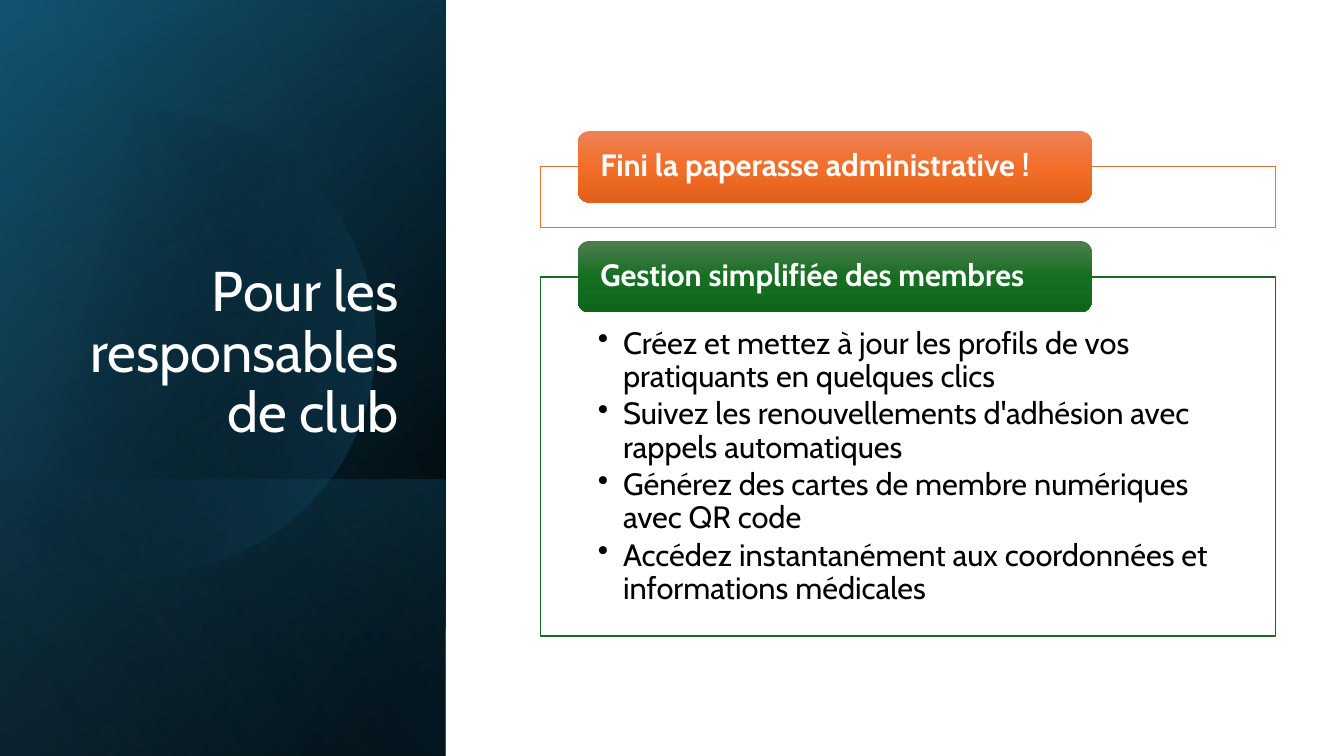
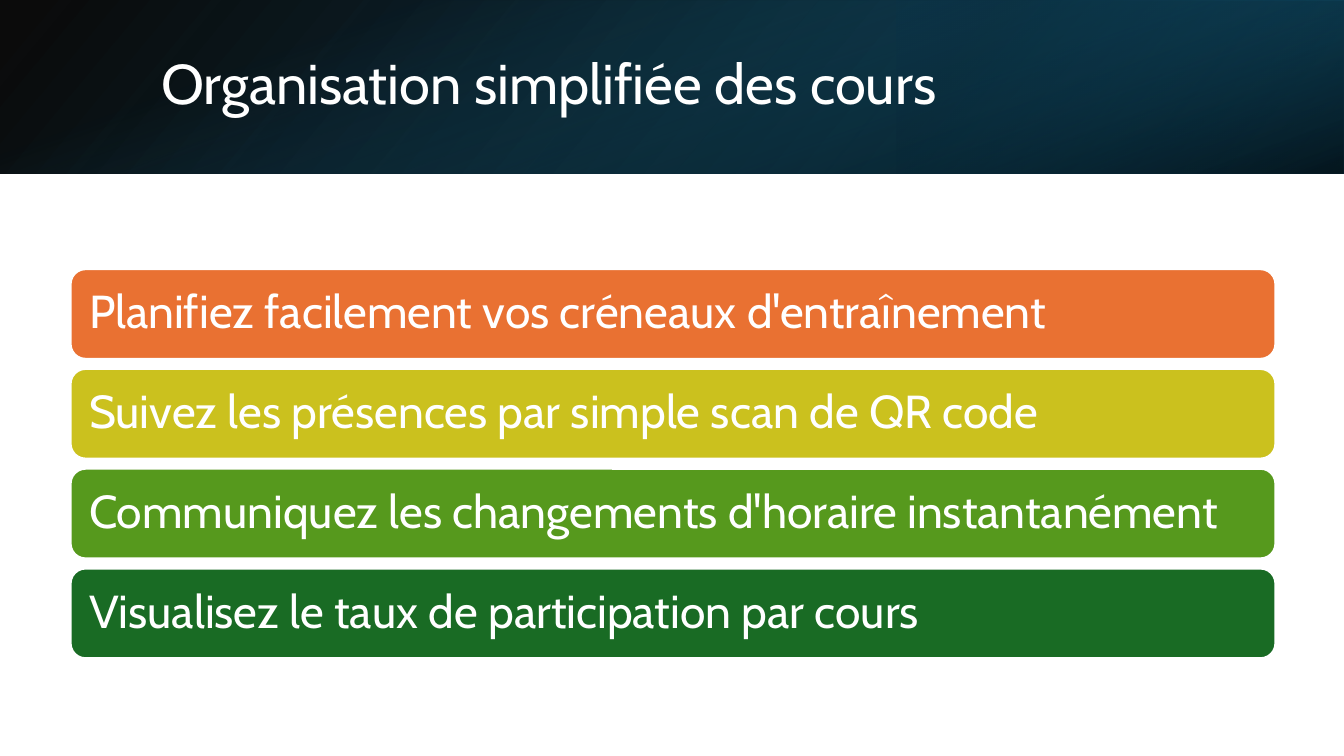
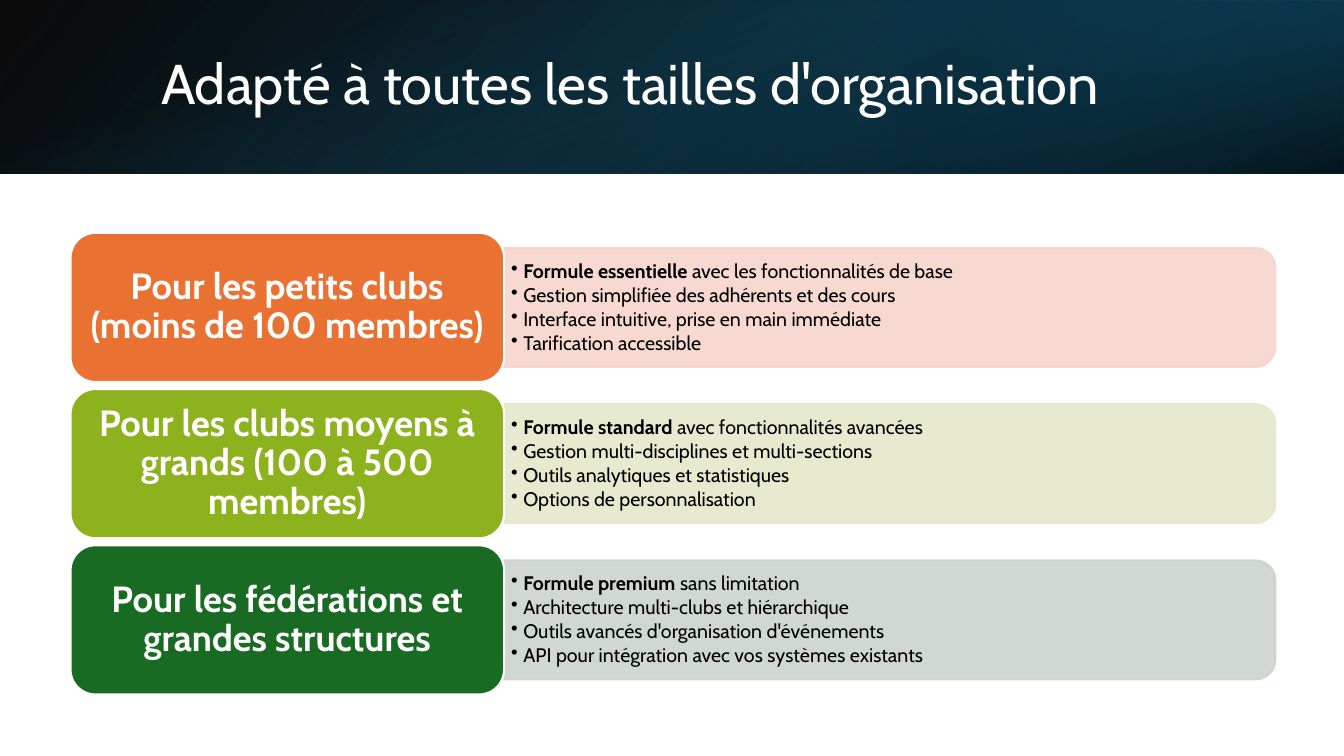
"""Build three slides presenting a club management service."""
import math
from dataclasses import dataclass

from pptx import Presentation
from pptx.dml.color import RGBColor
from pptx.enum import shapes, text
from pptx.oxml import parse_xml
from pptx.oxml.ns import nsdecls, qn
from pptx.util import Inches, Pt

FONT = "Cabin"
WHITE = RGBColor(0xFF, 0xFF, 0xFF)
BLACK = RGBColor(0x00, 0x00, 0x00)
NAVY = RGBColor(0x10, 0x48, 0x62)
TEAL = RGBColor(0x15, 0x60, 0x82)
DEEP = RGBColor(0x0B, 0x30, 0x41)
SKY = RGBColor(0x46, 0xB1, 0xE1)
ORANGE = RGBColor(0xE9, 0x71, 0x32)
YELLOW = RGBColor(0xCB, 0xC1, 0x1E)
LIME = RGBColor(0x8E, 0xB2, 0x1E)
LEAF = RGBColor(0x56, 0x99, 0x1D)
GREEN = RGBColor(0x19, 0x6B, 0x24)
PALE_ORANGE = RGBColor(0xF7, 0xD5, 0xCE)
PALE_LIME = RGBColor(0xE5, 0xE8, 0xCA)
PALE_GREEN = RGBColor(0xCC, 0xD4, 0xCD)
ORANGE_SHADES = (RGBColor(0xED, 0x82, 0x57), RGBColor(0xF2, 0x6E, 0x29), RGBColor(0xE2, 0x5F, 0x1A))
GREEN_SHADES = (RGBColor(0x4D, 0x7E, 0x50), RGBColor(0x15, 0x6F, 0x21), RGBColor(0x0F, 0x66, 0x1B))

RECT = shapes.MSO_SHAPE.RECTANGLE
ROUND = shapes.MSO_SHAPE.ROUNDED_RECTANGLE
ROUND_TOP = shapes.MSO_SHAPE.ROUND_2_SAME_RECTANGLE
LEFT, CENTER, RIGHT = text.PP_ALIGN.LEFT, text.PP_ALIGN.CENTER, text.PP_ALIGN.RIGHT
TOP, MIDDLE, BOTTOM = text.MSO_ANCHOR.TOP, text.MSO_ANCHOR.MIDDLE, text.MSO_ANCHOR.BOTTOM


@dataclass(frozen=True)
class Box:
    left: float
    top: float
    width: float
    height: float


@dataclass(frozen=True)
class Stop:
    position: int
    color: RGBColor
    opacity: int = 100


@dataclass(frozen=True)
class Veil:
    box: Box
    stops: tuple[Stop, ...]
    angle: int
    rotation: int = 0
    flip: bool = True


@dataclass(frozen=True)
class Line:
    text: str
    lead: str = ""


@dataclass(frozen=True)
class Style:
    size: int
    color: RGBColor = WHITE
    bold: bool = False
    align: text.PP_ALIGN = LEFT
    anchor: text.MSO_ANCHOR = MIDDLE
    insets: tuple[float, float, float, float] = (0.1, 0.05, 0.1, 0.05)
    indent: float = 0
    space_after: int = 0


@dataclass(frozen=True)
class Panel:
    heading: str
    heading_top: float
    shades: tuple[RGBColor, ...]
    box: Box
    color: RGBColor
    lines: tuple[Line, ...] = ()


@dataclass(frozen=True)
class Plan:
    audience: str
    color: RGBColor
    tint: RGBColor
    lines: tuple[Line, ...]


SIDE = Box(-1.54, 1.54, 7.5, 4.42)
SIDE_VEILS = (
    Veil(SIDE, (Stop(8, BLACK), Stop(100, NAVY)), 50, 90),
    Veil(SIDE, (Stop(0, BLACK, 0), Stop(99, TEAL, 46)), 30, 90),
    Veil(Box(0.84, 3.92, 2.74, 4.42), (Stop(2, TEAL, 29), Stop(100, BLACK, 30)), 130, 90),
)
SIDE_GLOW = Veil(SIDE, (Stop(0, BLACK, 0), Stop(99, SKY, 11)), 120, 90)
BAND_VEILS = (
    Veil(Box(0, 0, 13.33, 1.72), (Stop(0, BLACK, 96), Stop(100, NAVY)), 140),
    Veil(Box(8.89, 0, 4.44, 1.72), (Stop(19, DEEP, 68), Stop(100, TEAL, 79)), 320, 180),
    Veil(Box(5.8, -5.8, 1.72, 13.33), (Stop(23, TEAL, 0), Stop(99, BLACK, 74)), 340, 90, False),
)

HEADING = Style(22, bold=True, insets=(0.19, 0, 0.19, 0))
PANEL_LIST = Style(22, BLACK, anchor=TOP, insets=(0.57, 0.5, 0.57, 0.17), indent=0.25, space_after=3)
COURSE = Style(33, insets=(0.14, 0.14, 0.14, 0.14))
AUDIENCE = Style(26, bold=True, align=CENTER, insets=(0.11, 0.05, 0.11, 0.05))
PLAN_LIST = Style(14, BLACK, insets=(0.06, 0.03, 0.06, 0.03), indent=0.12, space_after=2)

PANELS = (
    Panel("Fini la paperasse administrative !", 1.3, ORANGE_SHADES, Box(5.36, 1.65, 7.29, 0.61), ORANGE),
    Panel("Gestion simplifiée des membres", 2.39, GREEN_SHADES, Box(5.36, 2.75, 7.29, 3.56), GREEN, (
        Line("Créez et mettez à jour les profils de vos pratiquants en quelques clics"),
        Line("Suivez les renouvellements d'adhésion avec rappels automatiques"),
        Line("Générez des cartes de membre numériques avec QR code"),
        Line("Accédez instantanément aux coordonnées et informations médicales"),
    )),
)
COURSES = (
    ("Planifiez facilement vos créneaux d'entraînement", ORANGE),
    ("Suivez les présences par simple scan de QR code", YELLOW),
    ("Communiquez les changements d'horaire instantanément", LEAF),
    ("Visualisez le taux de participation par cours", GREEN),
)
PLANS = (
    Plan("Pour les petits clubs (moins de 100 membres)", ORANGE, PALE_ORANGE, (
        Line(" avec les fonctionnalités de base", "Formule essentielle"),
        Line("Gestion simplifiée des adhérents et des cours"),
        Line("Interface intuitive, prise en main immédiate"),
        Line("Tarification accessible"),
    )),
    Plan("Pour les clubs moyens à grands (100 à 500 membres)", LIME, PALE_LIME, (
        Line(" avec fonctionnalités avancées", "Formule standard"),
        Line("Gestion multi-disciplines et multi-sections"),
        Line("Outils analytiques et statistiques"),
        Line("Options de personnalisation"),
    )),
    Plan("Pour les fédérations et grandes structures", GREEN, PALE_GREEN, (
        Line(" sans limitation", "Formule premium"),
        Line("Architecture multi-clubs et hiérarchique"),
        Line("Outils avancés d'organisation d'événements"),
        Line("API pour intégration avec vos systèmes existants"),
    )),
)


def place(box: Box) -> tuple:
    return Inches(box.left), Inches(box.top), Inches(box.width), Inches(box.height)


def add_box(s, kind, box: Box, fill=None, line=None, line_width: float = 1.5):
    sp = s.shapes.add_shape(kind, *place(box))
    sp.shadow.inherit = False
    if fill is not None:
        sp.fill.solid()
        sp.fill.fore_color.rgb = fill
    if line is None:
        sp.line.fill.background()
    else:
        sp.line.color.rgb = line
        sp.line.width = Pt(line_width)
    return sp


def set_gradient(sp, stops: tuple[Stop, ...], angle: int) -> None:
    marks = "".join(
        f'<a:gs pos="{stop.position * 1000}"><a:srgbClr val="{stop.color}">'
        f'<a:alpha val="{stop.opacity * 1000}"/></a:srgbClr></a:gs>'
        for stop in stops
    )
    sp.fill.background()
    props = sp._element.spPr
    props.replace(props.find(qn("a:noFill")), parse_xml(
        f'<a:gradFill {nsdecls("a")} rotWithShape="1"><a:gsLst>{marks}</a:gsLst>'
        f'<a:lin ang="{angle * 60000}" scaled="0"/></a:gradFill>'))


def set_opacity(sp, percent: int) -> None:
    for color in sp._element.spPr.iter(qn("a:srgbClr")):
        color.append(parse_xml(f'<a:alpha {nsdecls("a")} val="{percent * 1000}"/>'))


def add_veil(s, veil: Veil) -> None:
    sp = add_box(s, RECT, veil.box)
    set_gradient(sp, veil.stops, veil.angle)
    sp.rotation = veil.rotation
    if veil.flip:
        sp._element.spPr.xfrm.set("flipH", "1")


def add_disc(s) -> None:
    center_x, center_y, radius, reach = 1.43, 3.39, 2.29, 133.6
    angles = [math.radians(-reach + 2 * reach * i / 90) for i in range(91)]
    points = [(Inches(center_x + radius * math.cos(a)), Inches(center_y + radius * math.sin(a)))
              for a in angles]
    builder = s.shapes.build_freeform(*points[0])
    builder.add_line_segments(points[1:], close=True)
    sp = builder.convert_to_shape()
    sp.shadow.inherit = False
    sp.line.fill.background()
    set_gradient(sp, (Stop(29, BLACK, 0), Stop(100, TEAL, 43)), 14)


def write(sp, lines: tuple[Line, ...], style: Style) -> None:
    tf = sp.text_frame
    tf.word_wrap = True
    tf.vertical_anchor = style.anchor
    tf.margin_left, tf.margin_top, tf.margin_right, tf.margin_bottom = map(Inches, style.insets)
    for i, line in enumerate(lines):
        p = tf.add_paragraph() if i else tf.paragraphs[0]
        p.text = line.lead or line.text
        if line.lead:
            p.add_run().text = line.text
        if style.indent:
            props = p._p.get_or_add_pPr()
            props.set("marL", str(Inches(style.indent)))
            props.set("indent", str(-Inches(style.indent)))
            props.append(parse_xml(f'<a:buChar {nsdecls("a")} char="•"/>'))
        p.alignment = style.align
        p.line_spacing = 0.9
        p.space_after = Pt(style.space_after)
        for j, r in enumerate(p.runs):
            r.font.name = FONT
            r.font.size = Pt(style.size)
            r.font.color.rgb = style.color
            r.font.bold = style.bold or (bool(line.lead) and j == 0)


def add_text(s, box: Box, lines: tuple[Line, ...], style: Style) -> None:
    write(s.shapes.add_textbox(*place(box)), lines, style)


def add_panel(s, panel: Panel) -> None:
    frame = add_box(s, RECT, panel.box, WHITE, panel.color, 1)
    if panel.lines:
        write(frame, panel.lines, PANEL_LIST)
    tab = add_box(s, ROUND, Box(5.73, panel.heading_top, 5.1, 0.71))
    set_gradient(tab, tuple(Stop(50 * i, c) for i, c in enumerate(panel.shades)), 90)
    write(tab, (Line(panel.heading),), HEADING)


def add_plan(s, plan: Plan, top: float) -> None:
    width, height, card_height = 7.65, 1.18, 1.48
    middle = top + card_height / 2
    bar = add_box(s, ROUND_TOP, Box(5 + (width - height) / 2, middle - width / 2, height, width),
                  plan.tint, plan.tint)
    bar.rotation = 90
    set_opacity(bar, 90)
    add_text(s, Box(5.01, middle - 0.53, 7.59, 1.07), plan.lines, PLAN_LIST)
    card = add_box(s, ROUND, Box(0.7, top, 4.3, card_height), plan.color, WHITE)
    write(card, (Line(plan.audience),), AUDIENCE)


def add_slide(prs):
    return prs.slides.add_slide(prs.slide_layouts[6])


def add_band_slide(prs, title: str):
    s = add_slide(prs)
    for veil in BAND_VEILS:
        add_veil(s, veil)
    add_text(s, Box(1.5, 0.38, 10.98, 0.96), (Line(title),), Style(40))
    return s


def build_managers(prs) -> None:
    s = add_slide(prs)
    for veil in SIDE_VEILS:
        add_veil(s, veil)
    add_disc(s)
    add_veil(s, SIDE_GLOW)
    add_text(s, Box(0.64, 1.84, 3.41, 2.62), (Line("Pour les responsables de club"),),
             Style(40, align=RIGHT, anchor=BOTTOM))
    for panel in PANELS:
        add_panel(s, panel)


def build_courses(prs) -> None:
    s = add_band_slide(prs, "Organisation simplifiée des cours")
    for i, (label, color) in enumerate(COURSES):
        bar = add_box(s, ROUND, Box(0.7, 2.67 + 0.99 * i, 11.95, 0.89), color, WHITE)
        write(bar, (Line(label),), COURSE)


def build_plans(prs) -> None:
    s = add_band_slide(prs, "Adapté à toutes les tailles d'organisation")
    for i, plan in enumerate(PLANS):
        add_plan(s, plan, 2.31 + 1.55 * i)


def main() -> None:
    prs = Presentation()
    prs.slide_width, prs.slide_height = Inches(13.33), Inches(7.5)
    build_managers(prs)
    build_courses(prs)
    build_plans(prs)
    prs.save("out.pptx")


if __name__ == "__main__":
    main()
